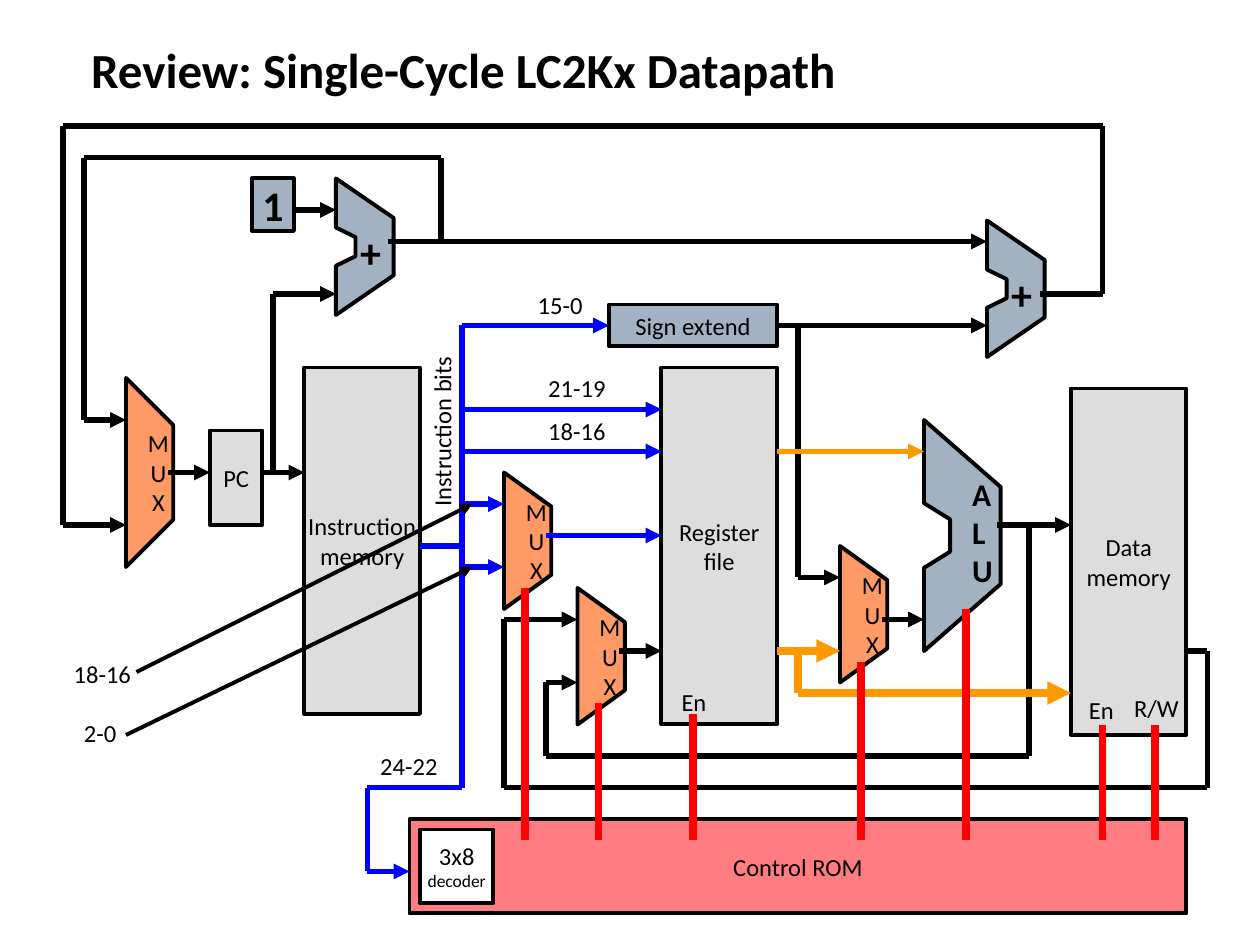
from itertools import pairwise

from lxml import etree
from pptx import Presentation
from pptx.dml.color import RGBColor
from pptx.enum.shapes import MSO_CONNECTOR, MSO_SHAPE
from pptx.enum.text import MSO_ANCHOR, PP_ALIGN
from pptx.oxml.ns import qn
from pptx.util import Inches, Pt

RECTANGLE = MSO_SHAPE.RECTANGLE
STRAIGHT = MSO_CONNECTOR.STRAIGHT
MIDDLE, BOTTOM = MSO_ANCHOR.MIDDLE, MSO_ANCHOR.BOTTOM
LEFT, CENTER = PP_ALIGN.LEFT, PP_ALIGN.CENTER

FONT = "Calibri"
BLACK, WHITE, GRAY, STEEL = "000000", "FFFFFF", "DDDDDD", "A3B2C1"
CORAL, PEACH, BLUE, ORANGE, RED = "FF7C80", "FF9966", "0000FF", "FF9900", "FF0000"

CELLS_PER_INCH = 12
OUTLINE, WIRE, THICK = 2.25, 3, 4.5
CONTROL_ROW = 80
MUX_WIDTH = 4.5
MUX_PROFILE = [(0, 0), (1, 0.25), (1, 0.75), (0, 1)]
ADDER_PROFILE = [(0, 0), (1, 0.29), (1, 0.71), (0, 1),
                 (0, 0.64), (0.34, 0.57), (0.34, 0.43), (0, 0.36)]

BOXES = [
    ("PC", 20, 41, 5, 9, GRAY, 14),
    ("Instruction\nmemory", 29, 35, 11, 33, GRAY, 14),
    ("Register\nfile", 63, 35, 11, 34, GRAY, 14),
    ("Data\nmemory", 102, 37, 11, 33, GRAY, 14),
    ("Control ROM", 39, 78, 74, 9, CORAL, 14),
    ("Sign extend", 58, 29, 16, 4, STEEL, 14),
    ("1", 24, 17, 4, 5, STEEL, 24),
    ("3x8\ndecoder", 40, 79, 7, 7, WHITE, 14),
]
MUXES = [(12, 36, 18), (48, 45, 13), (55, 56, 13), (80, 52, 13)]
ADDERS = [(32, 17, 5.5, 13), (94, 21, 5.5, 13), (88, 40, 7.3, 22)]

BLACK_ARROWS = [
    [(74, 31), (94, 31)],
    [(37, 23), (94, 23)],
    [(42, 23), (42, 15), (8, 15), (8, 40), (12, 40)],
    [(25, 45), (29, 45)],
    [(26, 45), (26, 28), (32, 28)],
    [(99, 28), (105, 28), (105, 12), (6, 12), (6, 50), (12, 50)],
    [(16, 45), (20, 45)],
    [(59, 62), (63, 62)],
    [(28, 20), (32, 20)],
    [(113, 62), (115, 62), (115, 75), (48, 75), (48, 59), (55, 59)],
    [(95, 50), (102, 50)],
    [(98, 50), (98, 72), (52, 72), (52, 65), (55, 65)],
    [(76, 31), (76, 55), (80, 55)],
    [(84, 59), (88, 59)],
]
BLUE_ARROWS = [
    [(44, 31), (58, 31)],
    [(44, 39), (63, 39)],
    [(44, 43), (63, 43)],
    [(44, 48), (48, 48)],
    [(44, 54), (48, 54)],
    [(52, 51), (63, 51)],
    [(44, 31), (44, 75), (35, 75), (35, 83), (39, 83)],
]
STORE_ARROWS = [[(74, 62), (80, 62)], [(76, 62), (76, 66), (102, 66)]]
CONTROL_STARTS = [(50, 56), (57, 67), (82, 63), (92, 58), (105, 69), (110, 69), (66, 68)]
POINTERS = [[(13, 64), (45, 48)], [(12, 70), (45, 54)]]
LABELS = [
    ("R/W", 106.8, 65.4, 6.7), ("En", 102.5, 65.6, 4.8), ("En", 63.7, 64.8, 4.8),
    ("15-0", 50, 27, 6.7), ("21-19", 51, 34.9, 7.9), ("18-16", 51, 39, 7.9),
    ("24-22", 35, 70.9, 7.9), ("18-16", 5.8, 62.2, 7.9), ("2-0", 5.6, 67.8, 7.9),
]


def cells(count):
    return Inches(count / CELLS_PER_INCH)


def color(hex_string):
    return RGBColor.from_string(hex_string)


def write(shape, text, size, bold=False, align=CENTER, anchor=MIDDLE):
    text_frame = shape.text_frame
    text_frame.text = text
    text_frame.word_wrap = False
    text_frame.vertical_anchor = anchor
    for paragraph in text_frame.paragraphs:
        paragraph.alignment = align
        font = paragraph.runs[0].font
        font.name, font.size, font.bold = FONT, Pt(size), bold
        font.color.rgb = color(BLACK)


def paint(shape, fill):
    shape.shadow.inherit = False
    shape.fill.solid()
    shape.fill.fore_color.rgb = color(fill)
    shape.line.color.rgb = color(BLACK)
    shape.line.width = Pt(OUTLINE)


def add_box(slide, text, left, top, width, height, fill, size):
    shape = slide.shapes.add_shape(RECTANGLE, *map(cells, (left, top, width, height)))
    paint(shape, fill)
    write(shape, text, size, bold=size > 14)
    return shape


def add_outline(slide, profile, left, top, width, height, fill):
    points = [(cells(left + x * width), cells(top + y * height)) for x, y in profile]
    builder = slide.shapes.build_freeform(*points[0])
    builder.add_line_segments(points[1:], close=True)
    shape = builder.convert_to_shape()
    paint(shape, fill)
    return shape


def add_mux(slide, left, top, height):
    shape = add_outline(slide, MUX_PROFILE, left, top, MUX_WIDTH, height, PEACH)
    shape.text_frame.margin_left = Inches(0.14)
    shape.text_frame.margin_right = 0
    write(shape, "M\nU\nX", 14)


def add_label(slide, text, left, top, width, height=4, size=14, **style):
    shape = slide.shapes.add_textbox(*map(cells, (left, top, width, height)))
    write(shape, text, size, **style)
    return shape


def add_wire(slide, points, line_color, width=WIRE, arrow=True):
    segments = list(pairwise(points))
    for index, (start, end) in enumerate(segments, 1):
        connector = slide.shapes.add_connector(STRAIGHT, *map(cells, start + end))
        connector.line.color.rgb = color(line_color)
        connector.line.width = Pt(width)
        properties = connector.line._get_or_add_ln()
        if arrow and index == len(segments):
            etree.SubElement(properties, qn("a:tailEnd"), type="triangle")
        etree.SubElement(properties.getparent(), qn("a:effectLst"))


def add_blocks(slide):
    for box in BOXES:
        shape = add_box(slide, *box)
    shape.text_frame.paragraphs[1].runs[0].font.size = Pt(10)
    for mux in MUXES:
        add_mux(slide, *mux)
    for adder in ADDERS:
        add_outline(slide, ADDER_PROFILE, *adder, STEEL)


def add_wires(slide):
    for points in BLACK_ARROWS:
        add_wire(slide, points, BLACK)
    add_wire(slide, [(40, 52), (44, 52)], BLUE, arrow=False)
    for points in BLUE_ARROWS:
        add_wire(slide, points, BLUE)
    add_wire(slide, [(74, 43), (88, 43)], ORANGE)
    for points in STORE_ARROWS:
        add_wire(slide, points, ORANGE, THICK)
    for column, row in CONTROL_STARTS:
        add_wire(slide, [(column, row), (column, CONTROL_ROW)], RED, THICK, arrow=False)
    for points in POINTERS:
        add_wire(slide, points, BLACK, OUTLINE)


def add_labels(slide):
    for label in LABELS:
        add_label(slide, *label)
    add_label(slide, "Instruction bits", 33.6, 39.1, 16.9).rotation = 270
    for left, top, _, _ in ADDERS[:2]:
        add_label(slide, "+", left + 1.1, top + 3.9, 4.4, 6.1, 24, bold=True)
    add_label(slide, "A\nL\nU", 91.4, 44.6, 4.4, 12.1, 18, bold=True, align=LEFT)


def main():
    presentation = Presentation()
    presentation.slide_width, presentation.slide_height = Inches(10), Inches(7.5)
    slide = presentation.slides.add_slide(presentation.slide_layouts[6])
    add_label(slide, "Review: Single-Cycle LC2Kx Datapath", 7.5, 0, 105, 10, 28,
              bold=True, align=LEFT, anchor=BOTTOM)
    add_blocks(slide)
    add_wires(slide)
    add_labels(slide)
    presentation.save("out.pptx")


if __name__ == "__main__":
    main()
